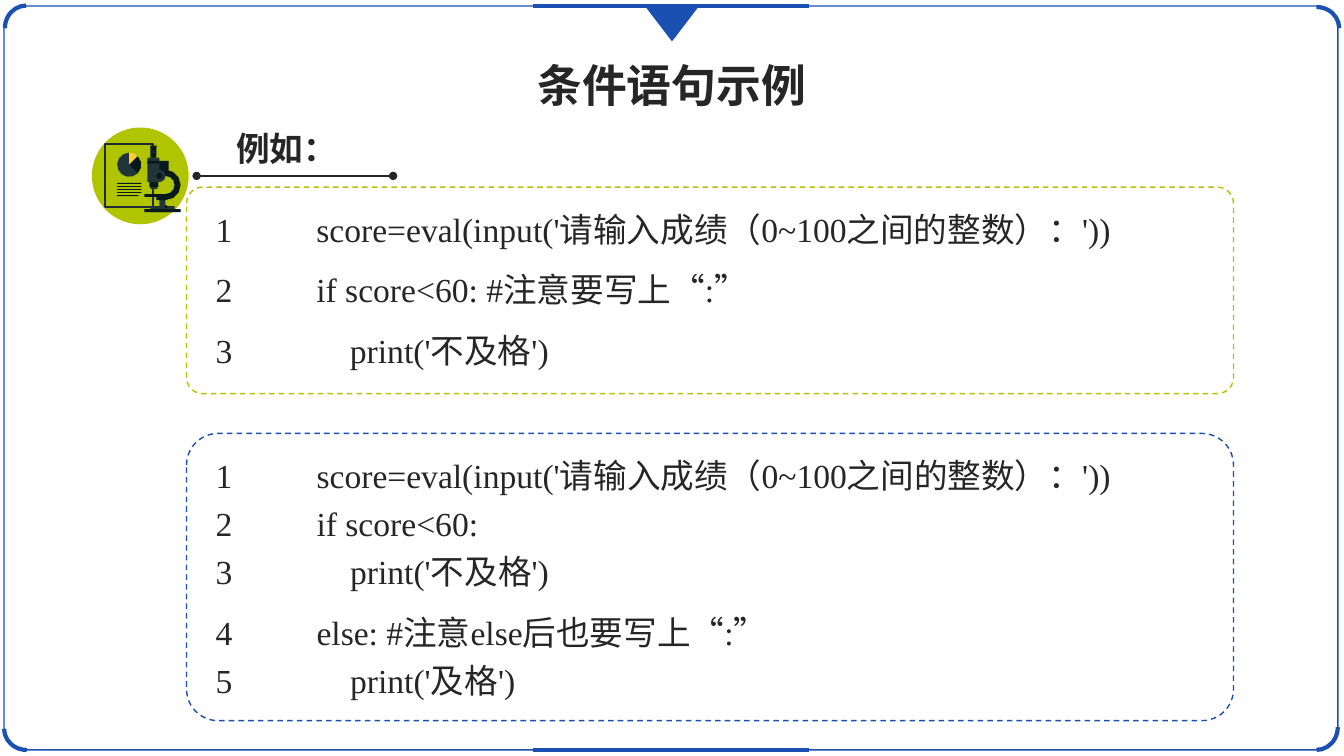
import math

from lxml import etree
from pptx import Presentation
from pptx.dml.color import RGBColor
from pptx.enum.dml import MSO_LINE
from pptx.enum.shapes import MSO_CONNECTOR, MSO_SHAPE
from pptx.enum.text import MSO_AUTO_SIZE, PP_ALIGN
from pptx.oxml.ns import qn
from pptx.util import Inches, Pt

BLUE = RGBColor(0x19, 0x50, 0xB2)
LIME = RGBColor(0xB1, 0xC4, 0x00)
INK = RGBColor(0x26, 0x26, 0x26)
SLATE = RGBColor(0x22, 0x2A, 0x35)
TEAL = RGBColor(0x21, 0x35, 0x38)
NIGHT = RGBColor(0x08, 0x19, 0x1E)
YELLOW = RGBColor(0xFF, 0xCE, 0x35)

RECT, ROUND_RECT = MSO_SHAPE.RECTANGLE, MSO_SHAPE.ROUNDED_RECTANGLE
OVAL, ARC = MSO_SHAPE.OVAL, MSO_SHAPE.ARC
TRIANGLE = MSO_SHAPE.ISOSCELES_TRIANGLE
STRAIGHT = MSO_CONNECTOR.STRAIGHT
DASH = MSO_LINE.DASH
LEFT, CENTER = PP_ALIGN.LEFT, PP_ALIGN.CENTER
FIT_SHAPE = MSO_AUTO_SIZE.SHAPE_TO_FIT_TEXT

HAN_FONT, CODE_FONT = "Noto Sans CJK SC", "Times New Roman"

SLIDE_W, SLIDE_H = Inches(13.33), Inches(7.5)
COL, ROW = SLIDE_W / 100, SLIDE_H / 100
CELL = Inches(0.03)
BADGE_X, BADGE_Y = 6.84 * COL, 16.87 * ROW
CODE_TAB = Inches(1)


def on_slide(x, y, w, h):
    """Columns and rows of the 100 x 100 slide grid to EMU."""
    return [round(v) for v in (x * COL, y * ROW, w * COL, h * ROW)]


def on_badge(x, y, w, h):
    """Cells of the 32 x 32 badge grid to EMU."""
    return [round(v) for v in (BADGE_X + x * CELL, BADGE_Y + y * CELL,
                               w * CELL, h * CELL)]


def paint(shape, fill=None, line=None, width=1, dash=None):
    shape.shadow.inherit = False
    if fill is None:
        shape.fill.background()
    else:
        shape.fill.solid()
        shape.fill.fore_color.rgb = fill
    if line is None:
        shape.line.fill.background()
    else:
        shape.line.color.rgb = line
        shape.line.width = Pt(width)
        if dash is not None:
            shape.line.dash_style = dash


def add_preset(shapes, kind, box, rotation=0, corner=None, **look):
    shape = shapes.add_shape(kind, *box)
    shape.rotation = rotation
    if corner is not None:
        shape.adjustments[0] = corner
    paint(shape, **look)


def add_outline(shapes, points, fill):
    """Closed shape through points given in badge cells."""
    corners = [on_badge(x, y, 0, 0)[:2] for x, y in points]
    builder = shapes.build_freeform(*corners[0])
    builder.add_line_segments(corners[1:], close=True)
    paint(builder.convert_to_shape(), fill=fill)


def arc_points(cx, cy, radius, start, end):
    """Points on an arc, about one every 30 degrees."""
    steps = math.ceil(abs(end - start) / 30)
    angles = [math.radians(start + (end - start) * i / steps)
              for i in range(steps + 1)]
    return [(cx + radius * math.cos(a), cy + radius * math.sin(a))
            for a in angles]


def add_line(shapes, x1, x2, y, color, width, ends=None):
    left, top, length, _ = on_slide(x1, y, x2 - x1, 0)
    line = shapes.add_connector(STRAIGHT, left, top, left + length, top)
    line.line.color.rgb = color
    line.line.width = Pt(width)
    if ends:
        for end in ("a:headEnd", "a:tailEnd"):
            etree.SubElement(line.line._get_or_add_ln(), qn(end), type=ends)
    etree.SubElement(line._element.spPr, qn("a:effectLst"))


def add_text(shapes, box, lines, size=24, font=HAN_FONT, bold=False,
             align=LEFT, wrap=True, insets=(0.1, 0.05), tab=None):
    """Lines are (text, line spacing); a closing ” takes the Han font."""
    frame = shapes.add_textbox(*box).text_frame
    frame.word_wrap = wrap
    frame.auto_size = FIT_SHAPE
    frame.margin_left = frame.margin_right = Inches(insets[0])
    frame.margin_top = frame.margin_bottom = Inches(insets[1])
    for number, (text, spacing) in enumerate(lines):
        paragraph = frame.paragraphs[0] if number == 0 else frame.add_paragraph()
        paragraph.alignment = align
        paragraph.line_spacing = spacing
        if tab:
            stops = etree.SubElement(paragraph._p.get_or_add_pPr(), qn("a:tabLst"))
            etree.SubElement(stops, qn("a:tab"), pos=str(tab), algn="l")
        body, quote, _ = text.partition("”")
        for part, face in ((body, font), (quote, HAN_FONT)):
            if not part:
                continue
            run = paragraph.add_run()
            run.text = part
            run.font.size = Pt(size)
            run.font.bold = bold
            run.font.color.rgb = INK
            run.font.name = face
            etree.SubElement(run.font._element, qn("a:ea"), typeface=HAN_FONT)


def add_frame(shapes):
    add_preset(shapes, ROUND_RECT, on_slide(0.3, 0.8, 99.25, 98.4),
               corner=0.029, line=BLUE)
    corners = ((0.25, 0.93, 270), (96.27, 0.93, 0),
               (96.27, 93.4, 90), (0.3, 93.6, 180))
    for x, y, turn in corners:
        add_preset(shapes, ARC, on_slide(x, y, 3.38, 5.6), rotation=turn,
                   line=BLUE, width=3)
    for y in (0.8, 99.2):
        add_line(shapes, 39.68, 60.2, y, BLUE, 3)
    add_preset(shapes, TRIANGLE, on_slide(48.05, 0.8, 3.9, 4.53),
               rotation=180, fill=BLUE, line=BLUE)


def add_report(shapes):
    add_preset(shapes, RECT, on_badge(4.33, 5.33, 16, 21), line=SLATE, width=1.5)
    hub = (12.33, 12.33)
    for start, end, color in ((45, 270, TEAL), (270, 315, YELLOW),
                              (-45, 45, NIGHT)):
        add_outline(shapes, [hub] + arc_points(*hub, 4, start, end), color)
    for row in range(5):
        width = 7 if row == 4 else 8
        add_preset(shapes, RECT, on_badge(8.33, 18.33 + row, width, 0.33),
                   fill=NIGHT)


def add_microscope(shapes):
    lower_parts = (
        (RECT, 19.33, 26, 8, 2, TEAL),
        (RECT, 21.33, 11, 4, 5, NIGHT),
        (RECT, 22.33, 23, 2, 3, TEAL),
        (RECT, 19.33, 16.33, 2.33, 4, TEAL),
        (RECT, 19, 18, 3, 1.67, NIGHT),
        (RECT, 18.33, 10, 4, 8, TEAL),
        (RECT, 19.33, 6, 2, 4, NIGHT),
        (OVAL, 20.33, 14, 4, 4, TEAL),
        (RECT, 17.33, 22, 5, 1, NIGHT),
    )
    upper_parts = (
        (OVAL, 21.33, 15, 2, 2, NIGHT),
        (RECT, 17.33, 27, 12, 1, NIGHT),
        (OVAL, 24, 25.67, 1, 1, NIGHT),
        (RECT, 19.33, 8, 2, 0.33, TEAL),
        *((RECT, 19.33 + i / 2, 6, 0.2, 0.67, TEAL) for i in range(5)),
        (RECT, 18.33, 11, 4, 1, NIGHT),
        (RECT, 19.67, 20, 1.33, 0.33, TEAL),
    )
    arm = (arc_points(24.33, 19, 5, -90, 90) + [(21.33, 24), (21.33, 22)]
           + arc_points(24.33, 19, 3, 90, -90))
    for kind, x, y, w, h, color in lower_parts:
        add_preset(shapes, kind, on_badge(x, y, w, h), fill=color)
    add_outline(shapes, arm, NIGHT)
    for kind, x, y, w, h, color in upper_parts:
        add_preset(shapes, kind, on_badge(x, y, w, h), fill=color)


def main():
    deck = Presentation()
    deck.slide_width, deck.slide_height = SLIDE_W, SLIDE_H
    shapes = deck.slides.add_slide(deck.slide_layouts[6]).shapes

    add_frame(shapes)
    add_text(shapes, on_slide(39.15, 6.93, 21.68, 8.53),
             [("条件语句示例", 1)], size=32, bold=True, align=CENTER, wrap=False)
    add_text(shapes, on_slide(16.8, 16.27, 9.08, 6.67),
             [("例如：", 1)], bold=True, align=CENTER, wrap=False)
    add_line(shapes, 14.63, 29.25, 23.27, INK, 1.5, ends="oval")

    badge = shapes.add_group_shape().shapes
    add_preset(badge, OVAL, on_badge(0, 0, 32, 32), fill=LIME)
    add_report(badge)
    add_microscope(badge)

    read_score = "1\tscore=eval(input('请输入成绩（0~100之间的整数）：'))"
    print_fail = "3\t    print('不及格')"
    add_text(shapes, on_slide(15.3, 24.27, 76.2, 25.6),
             [(read_score, 1.5), ("2\tif score<60: #注意要写上“:”", 1.5),
              (print_fail, 1.5)], font=CODE_FONT, tab=CODE_TAB)
    add_text(shapes, on_slide(15.6, 58.67, 74.1, 34.8),
             [(read_score, 1.2), ("2\tif score<60:", 1.2), (print_fail, 1.2),
              ("4\telse: #注意else后也要写上“:”", 1.5),
              ("5\t    print('及格')", 1.2)],
             font=CODE_FONT, insets=(0.06, 0.03), tab=CODE_TAB)
    for y, height, corner, color in ((57.33, 38, 0.11, BLUE),
                                     (24.75, 27.33, 0.078, LIME)):
        add_preset(shapes, ROUND_RECT, on_slide(13.88, y, 77.9, height),
                   corner=corner, line=color, dash=DASH)
    deck.save("out.pptx")


if __name__ == "__main__":
    main()
